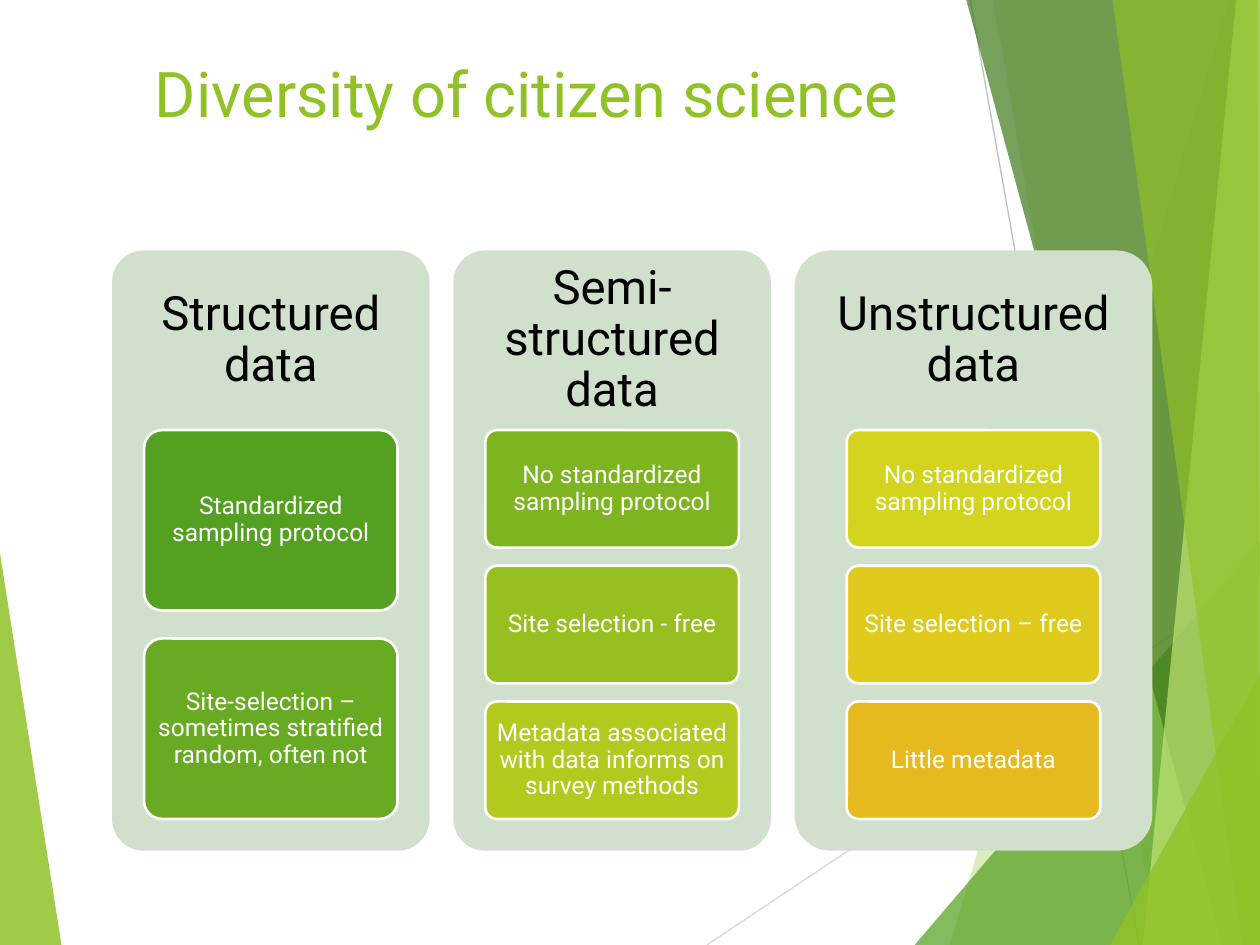
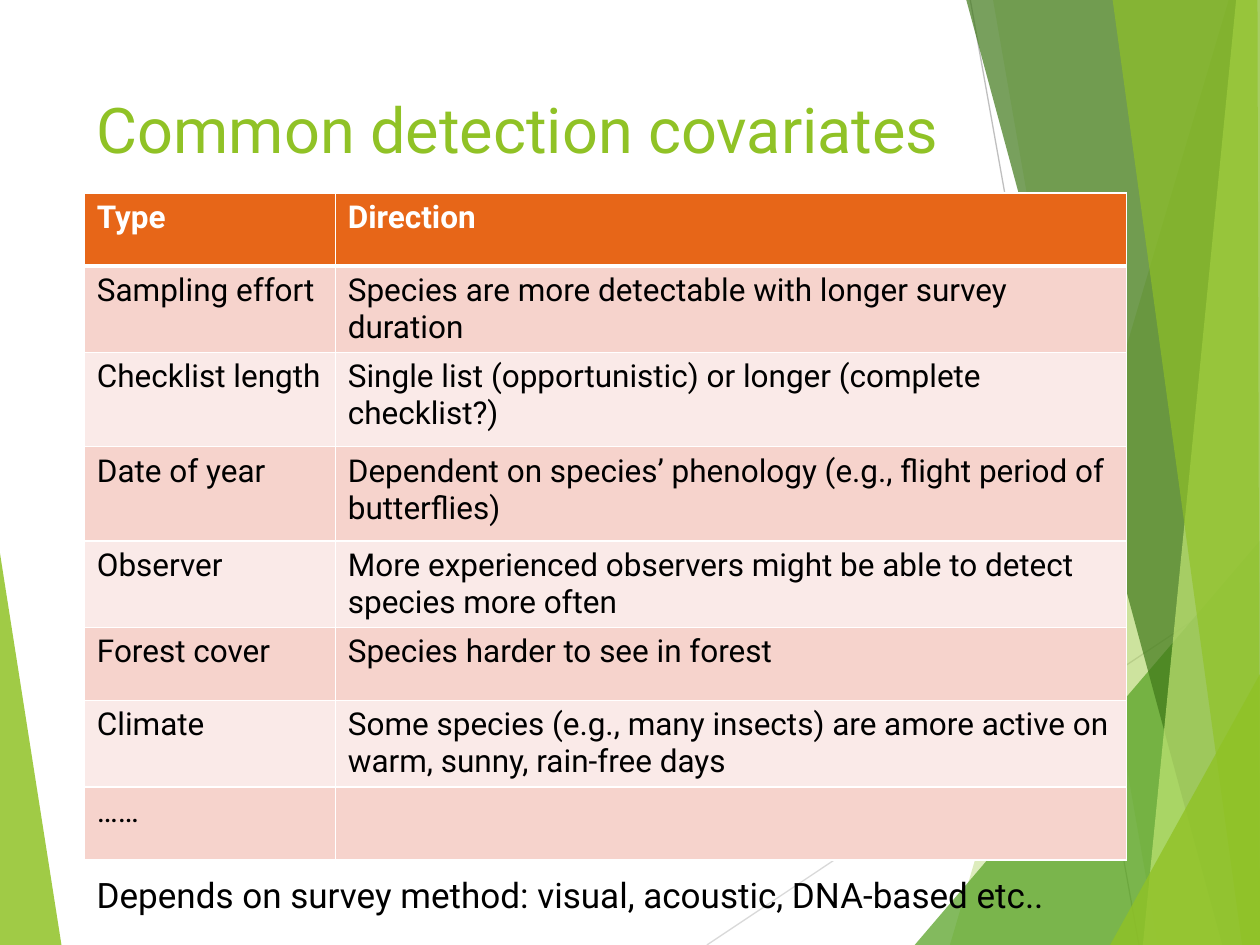
"""Build two slides on citizen science data and detection covariates."""
from lxml import etree
from pptx import Presentation
from pptx.dml.color import RGBColor
from pptx.enum.shapes import MSO_CONNECTOR, MSO_SHAPE
from pptx.enum.text import MSO_ANCHOR, MSO_AUTO_SIZE, PP_ALIGN
from pptx.oxml.ns import qn
from pptx.util import Cm, Pt

LEFT, CENTER = PP_ALIGN.LEFT, PP_ALIGN.CENTER
TOP, MIDDLE = MSO_ANCHOR.TOP, MSO_ANCHOR.MIDDLE
NO_FIT = MSO_AUTO_SIZE.NONE
ROUND, STRAIGHT = MSO_SHAPE.ROUNDED_RECTANGLE, MSO_CONNECTOR.STRAIGHT

FONT = "Roboto"
WHITE = RGBColor(0xFF, 0xFF, 0xFF)
BLACK = RGBColor(0x00, 0x00, 0x00)
LIME = RGBColor(0x90, 0xC2, 0x26)
GREEN = RGBColor(0x54, 0xA0, 0x21)
FOREST = RGBColor(0x3F, 0x78, 0x19)
PALE_LIME = RGBColor(0xC0, 0xE4, 0x74)
GREY = RGBColor(0xBF, 0xBF, 0xBF)
LIGHT_GREY = RGBColor(0xD9, 0xD9, 0xD9)
PANEL = RGBColor(0xD1, 0xDF, 0xCD)
LEAF = RGBColor(0x68, 0xAA, 0x21)
GRASS = RGBColor(0x7E, 0xB4, 0x20)
MOSS = RGBColor(0x97, 0xBF, 0x1F)
CITRON = RGBColor(0xB3, 0xC9, 0x1E)
LEMON = RGBColor(0xD2, 0xD4, 0x1D)
MUSTARD = RGBColor(0xDF, 0xCA, 0x1C)
AMBER = RGBColor(0xE6, 0xB9, 0x1E)
ORANGE = RGBColor(0xE7, 0x66, 0x18)
ROSE = RGBColor(0xF6, 0xD3, 0xCC)
PALE_ROSE = RGBColor(0xFA, 0xEA, 0xE8)

WIDTH, HEIGHT = 25.4, 19.05
BOTTOM_RIGHT, TOP_RIGHT = (WIDTH, HEIGHT), (WIDTH, 0)

LINES = [
    ((14.25, HEIGHT), (WIDTH, 11.61), LIGHT_GREY),
    ((19.56, 0), (22.96, HEIGHT), GREY),
]
FACETS = [
    ([(0, 11.15), (1.24, HEIGHT), (0, HEIGHT)], LIME, 85),
    ([(24.77, 0), (19.15, HEIGHT), BOTTOM_RIGHT, TOP_RIGHT], LIME, 30),
    ([(20.02, 0), (23.34, HEIGHT), BOTTOM_RIGHT, TOP_RIGHT], LIME, 20),
    ([(18.44, HEIGHT), (WIDTH, 10.9), BOTTOM_RIGHT], GREEN, 72),
    ([(19.48, 0), (24.64, HEIGHT), BOTTOM_RIGHT, TOP_RIGHT], FOREST, 70),
    ([(24.92, 0), (23.04, HEIGHT), BOTTOM_RIGHT, TOP_RIGHT], PALE_LIME, 70),
    ([(22.43, 0), (25.04, HEIGHT), BOTTOM_RIGHT, (25.35, 0)], LIME, 65),
    ([(22.38, HEIGHT), (WIDTH, 13.59), BOTTOM_RIGHT], LIME, 80),
]
COLUMNS = [
    ("Structured data", 6.4, [
        ("Standardized sampling protocol", GREEN),
        ("Site-selection – sometimes stratified random, often not", LEAF),
    ]),
    ("Semi-structured data", 6.4, [
        ("No standardized sampling protocol", GRASS),
        ("Site selection - free", MOSS),
        ("Metadata associated with data informs on survey methods", CITRON),
    ]),
    ("Unstructured data", 7.21, [
        ("No standardized sampling protocol", LEMON),
        ("Site selection – free", MUSTARD),
        ("Little metadata", AMBER),
    ]),
]
COVARIATES = [
    ("Type", "Direction", 1.47),
    ("Sampling effort", "Species are more detectable with longer survey duration", 1.47),
    ("Checklist length", "Single list (opportunistic) or longer (complete checklist?)", 1.9),
    ("Date of year",
     "Dependent on species’ phenology (e.g., flight period of butterflies)", 1.9),
    ("Observer", "More experienced observers might be able to detect species more often", 1.47),
    ("Forest cover", "Species harder to see in forest", 1.47),
    ("Climate",
     "Some species (e.g., many insects) are amore active on warm, sunny, rain-free days", 1.47),
    ("……", "", 1.47),
]


def write(tf, text, size=18, color=BLACK, bold=False, align=LEFT, anchor=TOP,
          spacing=1.0, margins=None):
    """Put one formatted paragraph into a text frame."""
    tf.word_wrap = True
    tf.auto_size = NO_FIT
    tf.vertical_anchor = anchor
    if margins:
        tf.margin_left = tf.margin_right = Cm(margins[0])
        tf.margin_top = tf.margin_bottom = Cm(margins[1])
    p = tf.paragraphs[0]
    p.alignment, p.line_spacing = align, spacing
    r = p.add_run()
    r.text = text
    r.font.name, r.font.size, r.font.bold = FONT, Pt(size), bold
    r.font.color.rgb = color


class Deck:
    """Presentation style and the current slide."""

    def __init__(self):
        """Open an empty presentation with a bare title layout."""
        self.prs = Presentation()
        self.prs.slide_width, self.prs.slide_height = Cm(WIDTH), Cm(HEIGHT)
        self.layout = self.prs.slide_layouts[5]
        for ph in list(self.layout.placeholders):
            if ph.placeholder_format.idx:
                ph.element.getparent().remove(ph.element)
        self.s = None

    def slide(self, title, x, y, w, h):
        """Start a slide and format its title."""
        self.s = self.prs.slides.add_slide(self.layout)
        sp = self.s.shapes.title
        sp.left, sp.top, sp.width, sp.height = Cm(x), Cm(y), Cm(w), Cm(h)
        write(sp.text_frame, title, size=36, color=LIME)

    def backdrop(self):
        """Draw the facets and lines and hand them to the layout."""
        drawn = [self.facet(*FACETS[0])]
        drawn += [self.line(*spec) for spec in LINES]
        drawn += [self.facet(*spec) for spec in FACETS[1:]]
        for sp in drawn:
            self.layout.shapes.element.append(sp.element)

    def line(self, start, end, color):
        """Draw a thin straight line."""
        sp = self.s.shapes.add_connector(STRAIGHT, *map(Cm, start + end))
        sp.line.color.rgb, sp.line.width = color, Pt(0.75)
        etree.SubElement(sp.element.spPr, qn("a:effectLst"))
        return sp

    def facet(self, points, color, opacity):
        """Draw a translucent polygon."""
        points = [(Cm(x), Cm(y)) for x, y in points]
        builder = self.s.shapes.build_freeform(*points[0])
        builder.add_line_segments(points[1:], close=True)
        sp = builder.convert_to_shape()
        self.paint(sp, color)
        fill = sp.element.spPr.find(qn("a:solidFill"))
        etree.SubElement(fill[0], qn("a:alpha"), val=str(opacity * 1000))
        return sp

    def paint(self, sp, color, outline=None):
        """Set fill and outline and drop the shadow."""
        sp.shadow.inherit = False
        sp.fill.solid()
        sp.fill.fore_color.rgb = color
        if outline is None:
            sp.line.fill.background()
        else:
            sp.line.color.rgb, sp.line.width = outline, Pt(1.5)

    def card(self, x, y, w, h, color, outline=None):
        """Draw a rounded rectangle."""
        sp = self.s.shapes.add_shape(ROUND, Cm(x), Cm(y), Cm(w), Cm(h))
        sp.adjustments[0] = 0.1
        self.paint(sp, color, outline)
        return sp

    def text(self, text, x, y, w, h, **style):
        """Add a text box."""
        sp = self.s.shapes.add_textbox(Cm(x), Cm(y), Cm(w), Cm(h))
        write(sp.text_frame, text, **style)

    def column(self, heading, x, w, boxes):
        """Draw a panel with a heading and evenly stacked boxes."""
        top, box_top, span, box_w, gap = 5.05, 8.67, 7.84, 5.11, 0.155
        self.card(x, top, w, 12.1, PANEL)
        self.text(heading, x, top, w, 3.63, size=27, align=CENTER, anchor=MIDDLE,
                  spacing=0.9, margins=(0.28, 0.28))
        h = span / (len(boxes) + (len(boxes) - 1) * gap)
        for i, (label, color) in enumerate(boxes):
            sp = self.card(x + (w - box_w) / 2, box_top + i * h * (1 + gap),
                           box_w, h, color, WHITE)
            write(sp.text_frame, label, size=14, color=WHITE, align=CENTER,
                  anchor=MIDDLE, spacing=0.9, margins=(0.1, 0.08))

    def cell(self, cell, text, row):
        """Border, fill and write one table cell."""
        widths = {"L": 1, "R": 1, "T": 3 if row == 1 else 1, "B": 1 if row else 3}
        tc_pr = cell._tc.get_or_add_tcPr()
        for side, width in widths.items():
            ln = etree.SubElement(tc_pr, qn(f"a:ln{side}"), w=str(Pt(width)))
            fill = etree.SubElement(ln, qn("a:solidFill"))
            etree.SubElement(fill, qn("a:srgbClr"), val=str(WHITE))
        cell.fill.solid()
        cell.fill.fore_color.rgb = (ROSE if row % 2 else PALE_ROSE) if row else ORANGE
        if text:
            write(cell.text_frame, text, color=BLACK if row else WHITE, bold=row == 0)

    def table(self, rows, x, y, widths):
        """Add a table whose rows end with their height."""
        total = sum(row[-1] for row in rows)
        table = self.s.shapes.add_table(len(rows), len(widths), Cm(x), Cm(y),
                                        Cm(sum(widths)), Cm(total)).table
        table.horz_banding = False
        for column, width in zip(table.columns, widths):
            column.width = Cm(width)
        for i, (*texts, height) in enumerate(rows):
            table.rows[i].height = Cm(height)
            for j, text in enumerate(texts):
                self.cell(table.cell(i, j), text, i)


def main():
    """Build and save the slides."""
    deck = Deck()
    deck.slide("Diversity of citizen science", 2.87, 0.97, 21.9, 3.68)
    deck.backdrop()
    x = 2.26
    for heading, width, boxes in COLUMNS:
        deck.column(heading, x, width, boxes)
        x += width + 0.48

    deck.slide("Common detection covariates", 1.7, 1.7, 17.63, 3.66)
    deck.table(COVARIATES, 1.7, 3.89, (5.06, 15.95))
    deck.text("Depends on survey method: visual, acoustic, DNA-based etc..",
              1.7, 17.48, 22.43, 1.12, size=20)
    deck.prs.save("out.pptx")


if __name__ == "__main__":
    main()
